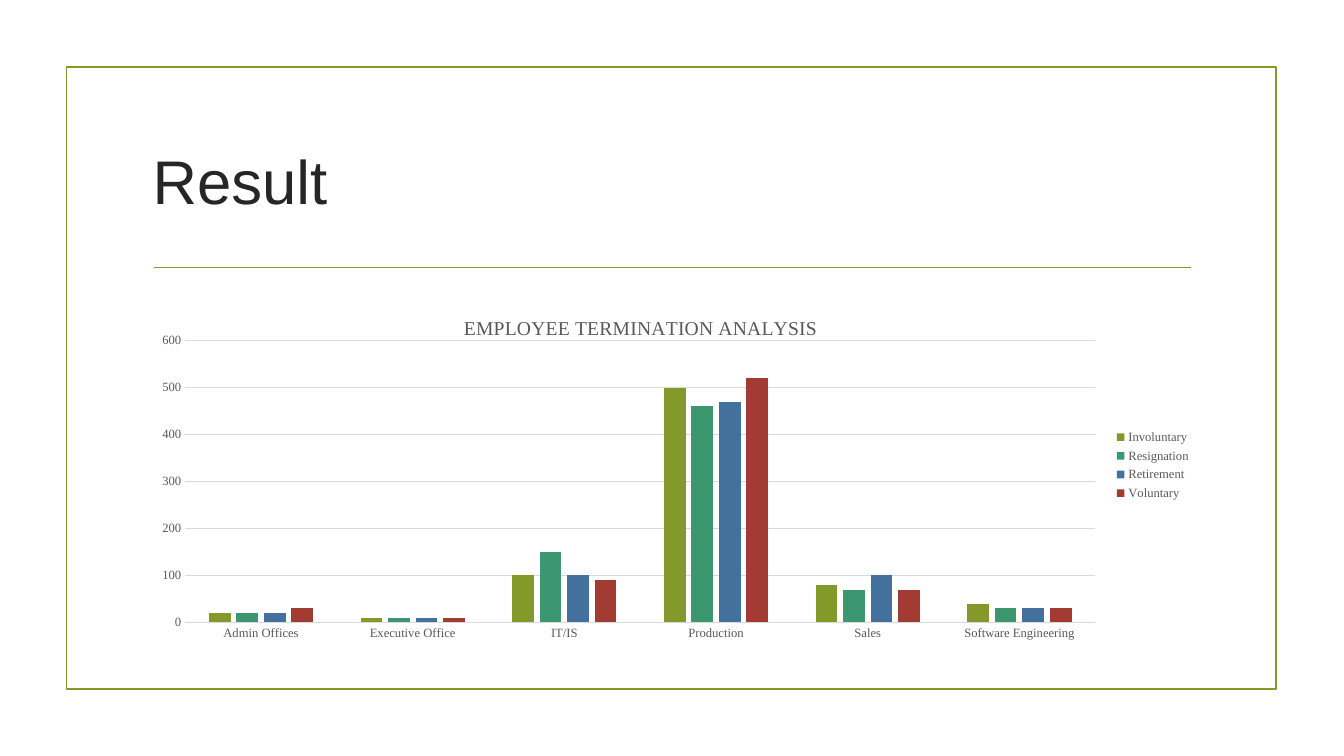
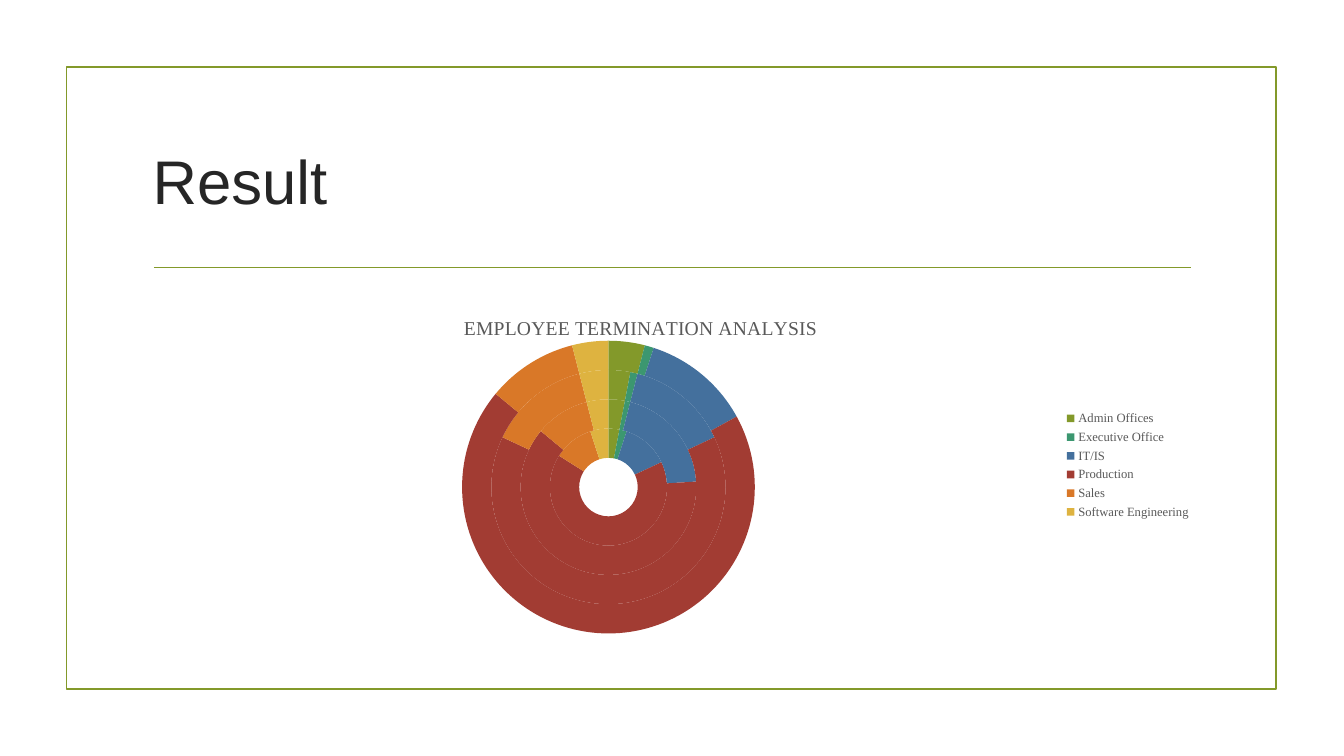
from dataclasses import dataclass

from lxml import etree
from pptx import Presentation
from pptx.chart import data as cd
from pptx.dml.color import RGBColor
from pptx.enum import chart as ec, shapes, text
from pptx.oxml import ns
from pptx.util import Pt


@dataclass(frozen=True)
class Theme:
    sans: str = "Arial"
    serif: str = "Times New Roman"
    ink: str = "262626"
    gray: str = "595959"
    grid: str = "D9D9D9"
    fills: tuple = ("83992A", "3C9770", "44709D", "A23C33", "D97828", "DEB340")
    title: int = 44
    head: int = 14
    label: int = 9
    rule: float = 1.25
    hair: float = 0.75


T = Theme()
WIDE, HIGH = 960, 540

# Regions: left, top, width, height in points
FRAME = (47.5, 48, 864, 444)
TITLE = (102, 77, 756, 103)
CHART = (102, 201.6, 756, 261.4)

HEAD = "EMPLOYEE TERMINATION ANALYSIS"
DEPTS = ("Admin Offices", "Executive Office", "IT/IS", "Production",
         "Sales", "Software Engineering")
CAUSES = {
    "Involuntary": (20, 10, 100, 500, 80, 40),
    "Resignation": (20, 10, 150, 460, 70, 30),
    "Retirement": (20, 10, 100, 470, 100, 30),
    "Voluntary": (30, 10, 90, 520, 70, 30),
}
SHARES = {
    "Series 1": (3, 2, 13, 66, 11, 5),
    "Series 2": (3, 1, 20, 62, 10, 4),
    "Series 3": (3, 1, 14, 64, 14, 4),
    "Series 4": (4, 1, 12, 69, 10, 4),
}


def rgb(code):
    return RGBColor.from_string(code)


def style(font, name, size, color):
    font.name, font.size, font.bold = name, Pt(size), False
    font.color.rgb = rgb(color)


def stroke(line, color, width):
    line.color.rgb = rgb(color)
    line.width = Pt(width)


def paint(fill, color):
    fill.solid()
    fill.fore_color.rgb = rgb(color)


def place(node, index, **parts):
    """Give a chart title or plot area a fixed place, in chart fractions."""
    for old in node.findall(ns.qn("c:layout")):
        node.remove(old)
    lay = etree.Element(ns.qn("c:layout"))
    man = etree.SubElement(lay, ns.qn("c:manualLayout"))
    if "w" in parts:
        etree.SubElement(man, ns.qn("c:layoutTarget"), val="inner")
    for key in ("xMode", "yMode"):
        etree.SubElement(man, ns.qn("c:" + key), val="edge")
    for key, value in parts.items():
        etree.SubElement(man, ns.qn("c:" + key), val=str(value))
    node.insert(index, lay)


def frame(slide, box):
    """Outer border and the rule under the title."""
    x, y, w, h = box
    edge = slide.shapes.add_shape(shapes.MSO_SHAPE.RECTANGLE, *map(Pt, box))
    edge.shadow.inherit = False
    edge.fill.background()
    stroke(edge.line, T.fills[0], T.rule)
    left, right, level = x + 62.5, x + w - 61, y + 143
    rule = slide.shapes.add_connector(
        shapes.MSO_CONNECTOR.STRAIGHT, *map(Pt, (left, level, right, level)))
    stroke(rule.line, T.fills[0], T.rule)
    etree.SubElement(rule._element.spPr, ns.qn("a:effectLst"))


def title(slide, box, words):
    body = slide.shapes.add_textbox(*map(Pt, box)).text_frame
    body.word_wrap = True
    body.vertical_anchor = text.MSO_ANCHOR.MIDDLE
    body.text = words
    style(body.paragraphs[0].font, T.sans, T.title, T.ink)


def chart(slide, box, kind, rows, area):
    """Chart with the shared heading and legend; area is the plot's place."""
    data = cd.CategoryChartData()
    data.categories = DEPTS
    for name, values in rows.items():
        data.add_series(name, values)
    made = slide.shapes.add_chart(kind, *map(Pt, box), data).chart
    style(made.font, T.serif, T.label, T.gray)

    # Heading
    made.has_title = True
    head = made.chart_title
    head.text_frame.text = HEAD
    style(head.text_frame.paragraphs[0].font, T.serif, T.head, T.gray)
    place(head._element, 1, x=0.3, y=0.08)

    # Legend
    made.has_legend = True
    made.legend.position = ec.XL_LEGEND_POSITION.RIGHT
    made.legend.include_in_layout = False
    style(made.legend.font, T.serif, T.label, T.gray)

    place(made._chartSpace.chart.plotArea, 0, **area)
    return made


def columns(slide, box):
    made = chart(slide, box, ec.XL_CHART_TYPE.COLUMN_CLUSTERED, CAUSES,
                 dict(x=0.04, y=0.16, w=0.86, h=0.77))
    plot = made.plots[0]
    plot.gap_width, plot.overlap = 219, -27
    plot.vary_by_categories = False
    for row, color in zip(plot.series, T.fills):
        paint(row.format.fill, color)

    # Axes
    cat, val = made.category_axis, made.value_axis
    for axis in (cat, val):
        axis.major_tick_mark = axis.minor_tick_mark = ec.XL_TICK_MARK.NONE
        style(axis.tick_labels.font, T.serif, T.label, T.gray)
    stroke(cat.format.line, T.grid, T.hair)
    val.format.line.fill.background()
    val.minimum_scale, val.maximum_scale, val.major_unit = 0, 600, 100
    val.has_major_gridlines = True
    stroke(val.major_gridlines.format.line, T.grid, T.hair)


def rings(slide, box):
    made = chart(slide, box, ec.XL_CHART_TYPE.DOUGHNUT, SHARES,
                 dict(x=0.3, y=0.16, w=0.28, h=0.8))
    plot = made.plots[0]
    plot.has_data_labels = False
    for row in plot.series:
        for index, color in enumerate(T.fills):
            look = row.points[index].format
            paint(look.fill, color)
            look.line.fill.background()


def main():
    deck = Presentation()
    deck.slide_width, deck.slide_height = Pt(WIDE), Pt(HIGH)
    for draw in (columns, rings):
        slide = deck.slides.add_slide(deck.slide_layouts[6])
        frame(slide, FRAME)
        title(slide, TITLE, "Result")
        draw(slide, CHART)
    deck.save("out.pptx")


if __name__ == "__main__":
    main()
